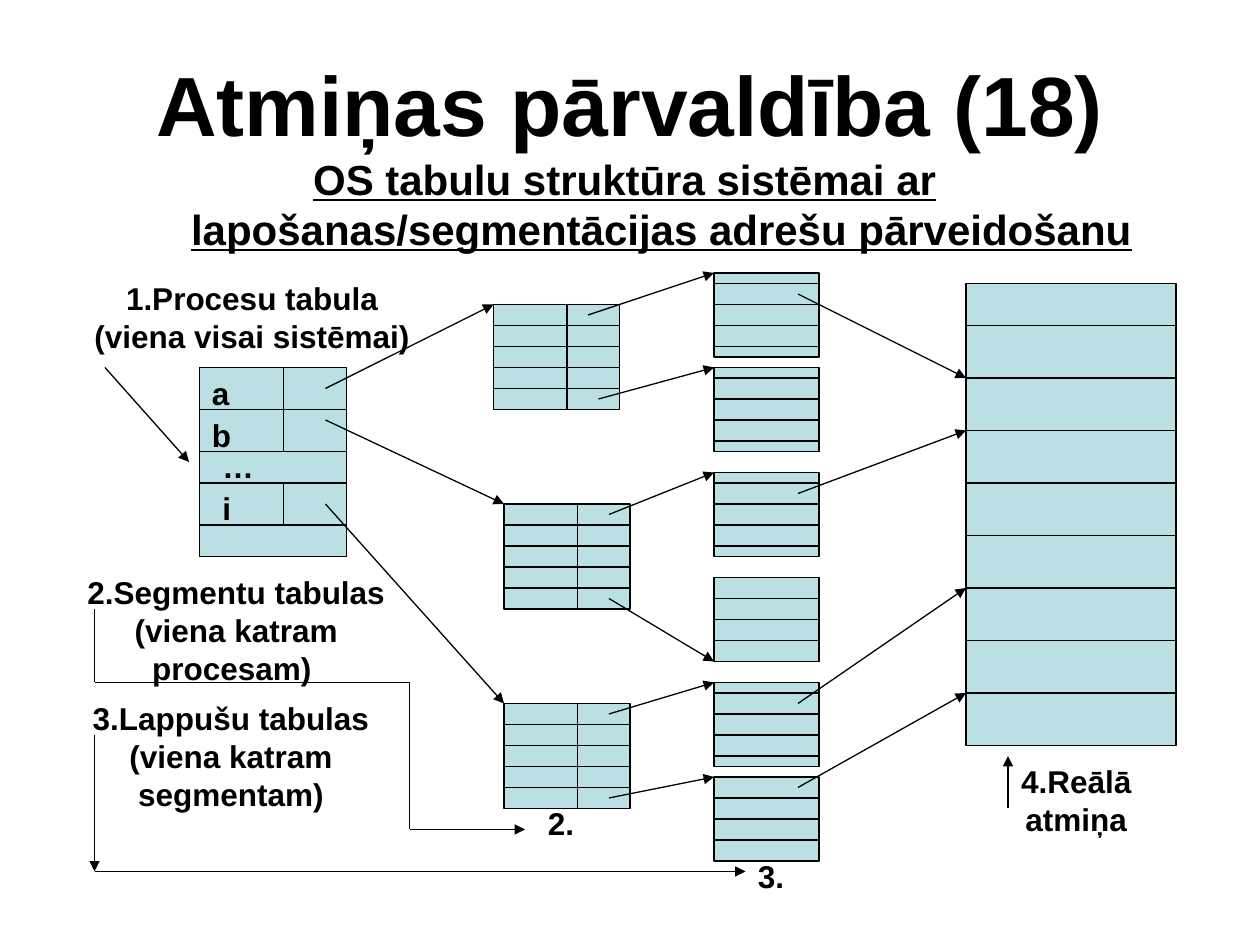
import lxml.etree
import pptx
import pptx.dml.color
import pptx.enum.shapes
import pptx.enum.text
import pptx.oxml.ns
import pptx.util

FONT = "Arial"
INK = "000000"
TABLE_FILL = "BBE0E3"
GRID_CM = 2.54 / 12  # the drawing sits on a grid of twelve steps per inch
LEFT = pptx.enum.text.PP_ALIGN.LEFT
CENTER = pptx.enum.text.PP_ALIGN.CENTER


def grid(steps):
    return pptx.util.Cm(steps * GRID_CM)


def color(hex_value):
    return pptx.dml.color.RGBColor.from_string(hex_value)


def write(frame, text, size, align, underline=None):
    frame.word_wrap = True
    paragraph = frame.paragraphs[0]
    paragraph.alignment = align
    run = paragraph.add_run()
    run.text = text
    run.font.name = FONT
    run.font.size = pptx.util.Pt(size)
    run.font.bold = True
    run.font.underline = underline
    run.font.color.rgb = color(INK)
    return paragraph


def add_label(slide, text, left, top, width, height, align=LEFT):
    label = slide.shapes.add_textbox(*map(grid, (left, top, width, height)))
    write(label.text_frame, text, 18, align)
    label.text_frame.auto_size = pptx.enum.text.MSO_AUTO_SIZE.SHAPE_TO_FIT_TEXT


def add_line(slide, start, end, arrow=False):
    line = slide.shapes.add_connector(
        pptx.enum.shapes.MSO_CONNECTOR.STRAIGHT, *map(grid, (*start, *end)))
    line.line.color.rgb = color(INK)
    line.line.width = pptx.util.Pt(0.75)
    if arrow:
        lxml.etree.SubElement(line.line._get_or_add_ln(),
                              pptx.oxml.ns.qn("a:tailEnd"), type="triangle")
    lxml.etree.SubElement(line._element.spPr, pptx.oxml.ns.qn("a:effectLst"))


def add_memory_table(slide, left, top, width, height, row_lines):
    """Draw a box with horizontal lines at the given distances from its top."""
    box = slide.shapes.add_shape(pptx.enum.shapes.MSO_SHAPE.RECTANGLE,
                                 *map(grid, (left, top, width, height)))
    box.shadow.inherit = False
    box.fill.solid()
    box.fill.fore_color.rgb = color(TABLE_FILL)
    box.line.color.rgb = color(INK)
    box.line.width = pptx.util.Pt(0.75)
    for offset in row_lines:
        add_line(slide, (left, top + offset), (left + width, top + offset))


def add_path(slide, points):
    """Join the points with lines; the last one carries the arrowhead."""
    for index in range(1, len(points)):
        add_line(slide, points[index - 1], points[index],
                 arrow=index == len(points) - 1)


def add_headings(slide):
    title = slide.shapes.title
    title.left, title.top, title.width, title.height = map(
        grid, (6, 3.6, 108, 12.4))
    title.text_frame.vertical_anchor = pptx.enum.text.MSO_ANCHOR.MIDDLE
    write(title.text_frame, "Atmiņas pārvaldība (18)", 48, CENTER)

    subtitle = slide.shapes.add_textbox(*map(grid, (6, 14, 107, 12)))
    paragraph = write(
        subtitle.text_frame,
        "OS tabulu struktūra sistēmai ar "
        "lapošanas/segmentācijas adrešu pārveidošanu",
        24, CENTER, underline=True)
    hanging = pptx.util.Cm(1.48)
    properties = paragraph._p.get_or_add_pPr()
    properties.set("marL", str(hanging))
    properties.set("indent", str(-hanging))


def add_tables(slide):
    # Real memory
    add_memory_table(slide, 92, 27, 20, 44, range(4, 44, 5))

    # Page tables: top and first row line
    for top, first in ((26, 1), (35, 1), (45, 1), (55, 2), (65, 1), (74, 2)):
        add_memory_table(slide, 68, top, 10, 8, range(first, 8, 2))

    # Segment tables, two columns each
    for left, top in ((47, 29), (48, 48), (48, 67)):
        add_memory_table(slide, left, top, 12, 10, range(2, 10, 2))
        add_line(slide, (left + 7, top), (left + 7, top + 10))

    # Process table
    add_memory_table(slide, 19, 35, 14, 18, (4, 8, 11, 15))
    for top, bottom in ((35, 43), (46, 50)):
        add_line(slide, (27, top), (27, bottom))
    for name, left, top, width in (("a", 19, 35, 7), ("b", 19, 39, 6),
                                   ("…", 20, 42, 6), ("i", 20, 46, 5)):
        add_label(slide, name, left, top, width, 4.8)


def add_references(slide):
    references = (
        # Process table to segment tables
        ((31, 37), (47, 29)), ((31, 40), (48, 48)), ((31, 48), (48, 67)),
        # Segment tables to page tables
        ((56, 30), (68, 26)), ((57, 38), (68, 35)), ((58, 49), (68, 45)),
        ((58, 57), (68, 63)), ((58, 68), (68, 65)), ((58, 76), (68, 74)),
        # Page tables to real memory
        ((76, 28), (92, 36)), ((76, 47), (92, 41)),
        ((76, 67), (92, 56)), ((76, 75), (92, 66)),
    )
    for start, end in references:
        add_line(slide, start, end, arrow=True)


def add_captions(slide):
    captions = (
        ("1.Procesu tabula (viena visai sistēmai)", 7, 26, 34, 8.4),
        ("2.Segmentu tabulas (viena katram procesam) ", 7, 54, 31, 12),
        ("3.Lappušu tabulas (viena katram segmentam)", 7, 66, 30, 12),
        ("4.Reālā atmiņa", 93, 72, 19, 8.4),
    )
    for text, *place in captions:
        add_label(slide, text, *place, align=CENTER)
    add_label(slide, "2.", 51, 76, 6, 4.8)
    add_label(slide, "3.", 71, 81, 7, 4.8)

    # Pointers from the captions to their tables
    add_path(slide, ((10, 35), (18, 44)))
    add_path(slide, ((96, 77), (96, 72)))
    add_path(slide, ((9, 58), (9, 65), (39, 65), (39, 79), (50, 79)))
    add_path(slide, ((9, 70), (9, 83)))
    add_path(slide, ((9, 83), (71, 83)))


def main():
    deck = pptx.Presentation()
    deck.slide_width = pptx.util.Cm(25.4)
    deck.slide_height = pptx.util.Cm(19.05)
    slide = deck.slides.add_slide(deck.slide_layouts.get_by_name("Title Only"))
    add_headings(slide)
    add_tables(slide)
    add_references(slide)
    add_captions(slide)
    deck.save("out.pptx")


if __name__ == "__main__":
    main()
